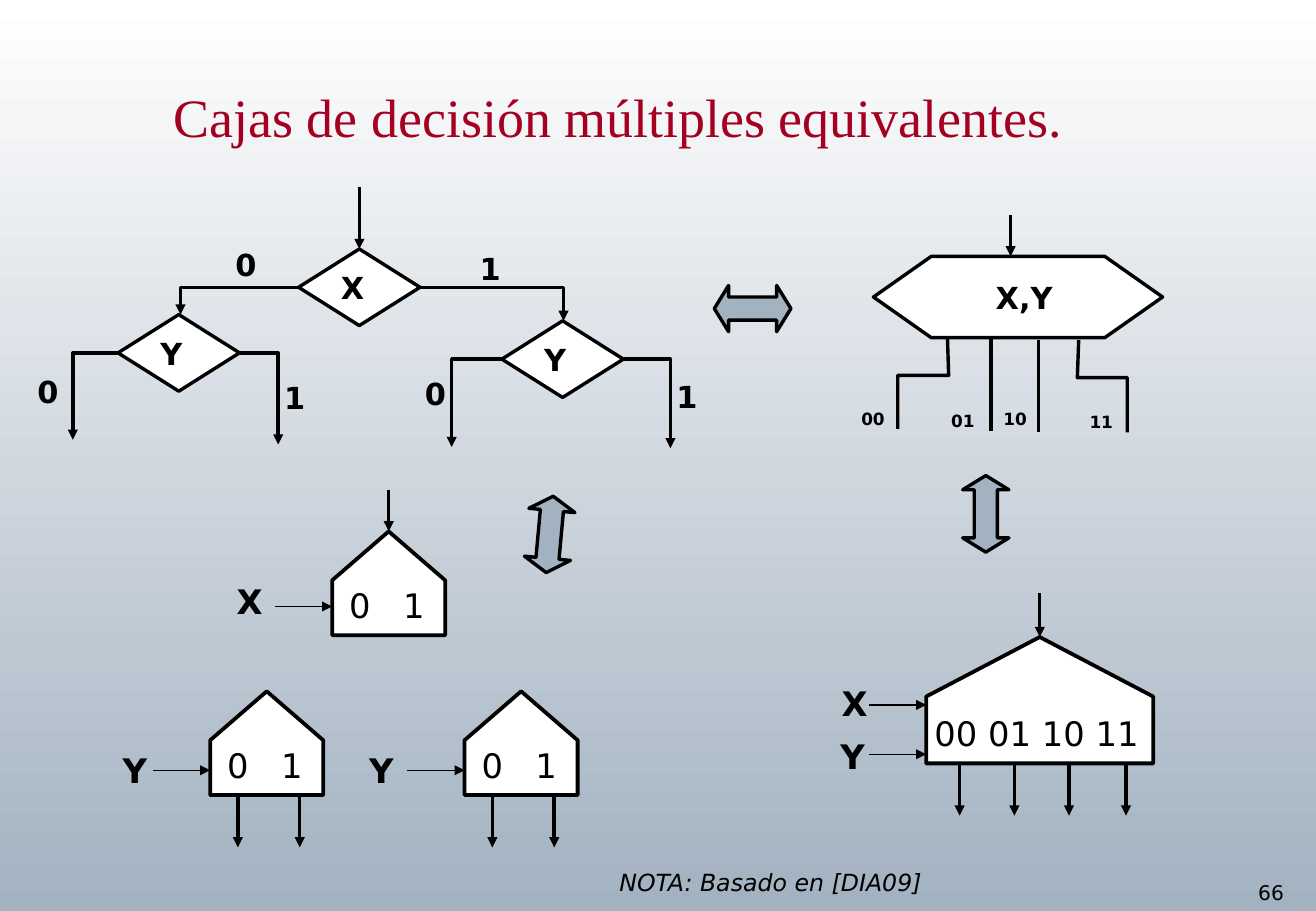
from lxml import etree
from pptx import Presentation
from pptx.dml.color import RGBColor
from pptx.enum.shapes import MSO_CONNECTOR, MSO_SHAPE
from pptx.enum.text import MSO_ANCHOR, PP_ALIGN
from pptx.oxml.ns import qn
from pptx.util import Pt

STRAIGHT, ELBOW = MSO_CONNECTOR.STRAIGHT, MSO_CONNECTOR.ELBOW
DIAMOND = MSO_SHAPE.FLOWCHART_DECISION
HEXAGON = MSO_SHAPE.FLOWCHART_PREPARATION
HOUSE = MSO_SHAPE.PENTAGON
DOUBLE_ARROW = MSO_SHAPE.LEFT_RIGHT_ARROW
LEFT = PP_ALIGN.LEFT
TOP, MIDDLE = MSO_ANCHOR.TOP, MSO_ANCHOR.MIDDLE
SANS, SERIF = "DejaVu Sans", "Times New Roman"
COLORS = {"ink": "000000", "paper": "FFFFFF", "steel": "A3B2C1", "title": "A50021"}


def color(name):
    """Return the named color."""
    return RGBColor.from_string(COLORS[name])


def write(shape, text, size, bold=False, italic=False, font=SANS, ink="ink", tab=None):
    """Put one left-aligned paragraph in a shape."""
    paragraph = shape.text_frame.paragraphs[0]
    paragraph.text = text
    paragraph.alignment = LEFT
    if tab:
        tabs = etree.SubElement(paragraph._p.get_or_add_pPr(), qn("a:tabLst"))
        etree.SubElement(tabs, qn("a:tab"), pos=str(Pt(tab)), algn="l")
    paragraph.font.name = font
    paragraph.font.size = Pt(size)
    paragraph.font.bold = bold
    paragraph.font.italic = italic
    paragraph.font.color.rgb = color(ink)


def add_label(slide, box, text, size, wrap=False, margin=None, anchor=TOP, **style):
    """Add a text box at the given left, top, width and height."""
    shape = slide.shapes.add_textbox(*map(Pt, box))
    frame = shape.text_frame
    frame.word_wrap = wrap
    frame.vertical_anchor = anchor
    if margin is not None:
        frame.margin_left = frame.margin_right = Pt(margin)
        frame.margin_top = frame.margin_bottom = Pt(margin)
    write(shape, text, size, **style)
    return shape


def add_block(slide, kind, box, fill="paper", width=2):
    """Add an outlined preset shape."""
    shape = slide.shapes.add_shape(kind, *map(Pt, box))
    shape.shadow.inherit = False
    shape.fill.solid()
    shape.fill.fore_color.rgb = color(fill)
    shape.line.color.rgb = color("ink")
    shape.line.width = Pt(width)
    shape.text_frame.word_wrap = False
    shape.text_frame.vertical_anchor = MIDDLE
    return shape


def add_line(slide, start, end, width=2, kind=STRAIGHT, head=True):
    """Add a straight line or a one-bend elbow, usually with an arrowhead."""
    line = slide.shapes.add_connector(kind, *map(Pt, (*start, *end)))
    line.line.color.rgb = color("ink")
    line.line.width = Pt(width)
    properties = line._element.spPr
    if kind == ELBOW:
        properties.find(qn("a:prstGeom")).set("prst", "bentConnector2")
    if head:
        etree.SubElement(properties.find(qn("a:ln")), qn("a:tailEnd"), type="triangle")
    etree.SubElement(properties, qn("a:effectLst"))
    return line


def add_bent_exit(slide, points):
    """Draw an open stepped outline through the points."""
    corners = [(Pt(x), Pt(y)) for x, y in points]
    builder = slide.shapes.build_freeform(*corners[0], scale=1.0)
    builder.add_line_segments(corners[1:], close=False)
    shape = builder.convert_to_shape()
    shape.shadow.inherit = False
    shape.fill.background()
    shape.line.color.rgb = color("ink")
    shape.line.width = Pt(2)


def decision_tree(slide, left, top):
    """Draw the tree of two-way decisions on X and then Y."""
    width, height = 72, 45.4
    nodes = [
        ("X", 162, 36.6, (92, 75.5), (319, 79.2)),
        ("Y", 55, 75.5, (28.2, 149.7), (149.9, 152.5)),
        ("Y", 282.5, 79.2, (252.8, 154), (382.4, 154.7)),
    ]
    diamonds = []
    for name, x, y, zero_end, one_end in nodes:
        diamond = add_block(slide, DIAMOND, (left + x, top + y, width, height))
        write(diamond, name, 18, bold=True)
        diamonds.append(diamond)
        for start_x, (end_x, end_y) in ((x, zero_end), (x + width, one_end)):
            add_line(slide, (left + start_x, top + y + height / 2),
                     (left + end_x, top + end_y), kind=ELBOW)
    middle = left + 162 + width / 2
    entry = add_line(slide, (middle, top), (middle, top + 36.6))
    entry.end_connect(diamonds[0], 0)
    for text, x, y in (("0", 0, 106.4), ("0", 117.5, 31.6), ("0", 229.8, 107.9),
                       ("1", 378.8, 109.3), ("1", 262.2, 33.7), ("1", 146.3, 110)):
        add_label(slide, (left + x, top + y, 27.4, 28.8), text, 18, bold=True, anchor=MIDDLE)


def multiple_decision(slide, left, top):
    """Draw the four-way decision hexagon with its labelled exits."""
    hexagon = add_block(slide, HEXAGON, (left + 7.7, top + 25, 171.4, 48.2))
    hexagon.text_frame.margin_left = Pt(38.2)
    write(hexagon, "X,Y", 18, bold=True)
    add_line(slide, (left + 89, top + 0.4), (left + 89, top + 25))
    for points in ([(51.6, 73.2), (52.3, 95.5), (22.1, 95.5), (22.1, 127.2)],
                   [(129.4, 74.6), (128.6, 96.9), (158.2, 96.9), (158.2, 129.3)]):
        add_bent_exit(slide, [(left + x, top + y) for x, y in points])
    for x, start, end in ((77.5, 73.2, 128.6), (105.6, 74.6, 129.3)):
        add_line(slide, (left + x, top + start), (left + x, top + end), head=False)
    for text, x, y in (("00", 0.5, 115), ("01", 53.8, 116.4),
                       ("10", 84.7, 115), ("11", 135.8, 117)):
        add_label(slide, (left + x, top + y, 20.9, 12.2), text, 10, margin=0, bold=True)


def selector(slide, box, text, text_width, inputs, outputs=(), entry=0):
    """Draw a house-shaped selector with its inputs, entry and outputs."""
    left, top, width, height = box
    middle = left + width / 2
    turned = (middle - height / 2, top + (height - width) / 2, height, width)
    house = add_block(slide, HOUSE, turned, width=2.25)
    house.rotation = 270
    house.adjustments[0] = 0.471
    add_label(slide, (middle - text_width / 2, top + height - 33.5, text_width, 31.7),
              text, 20, tab=32 if "\t" in text else None)
    for name, label_x, label_y, arrow_y in inputs:
        add_label(slide, (left + label_x, top + label_y, 30, 31.7), name, 20, bold=True)
        add_line(slide, (left - 34, top + arrow_y), (left, top + arrow_y), width=0.75)
    if entry:
        add_line(slide, (middle, top - entry), (middle, top))
    for x in outputs:
        add_line(slide, (left + x, top + height + 1), (left + x, top + height + 31))


def equivalence(slide, left, top, rotation=0):
    """Draw a double arrow between equivalent diagrams."""
    arrow = add_block(slide, DOUBLE_ARROW, (left, top, 45.4, 27.4), fill="steel")
    arrow.adjustments[0] = 0.5
    arrow.adjustments[1] = 0.309
    arrow.rotation = rotation


def background(slide):
    """Fill the slide with a vertical gradient."""
    fill = slide.background.fill
    fill.gradient()
    fill.gradient_angle = 270
    for stop, position, name in zip(fill.gradient_stops, (0, 1), ("paper", "steel")):
        stop.position = position
        stop.color.rgb = color(name)


def main():
    """Build the slide and save it."""
    presentation = Presentation()
    presentation.slide_width, presentation.slide_height = Pt(780), Pt(540)
    slide = presentation.slides.add_slide(presentation.slide_layouts[6])
    background(slide)
    title = add_label(slide, (95.8, 41.8, 556, 50.4), "Cajas de decisión múltiples equivalentes.",
                      32, wrap=True, font=SERIF, ink="title")
    title.text_frame.margin_top = Pt(7.5)
    decision_tree(slide, 15, 111)
    multiple_decision(slide, 510, 127)
    selector(slide, (196.9, 315, 67, 61.5), "0\t1", 61.2, [("X", -63.7, 25.6, 44.5)], entry=24.5)
    for left, label_x in ((124.6, -59), (275.4, -63.7)):
        selector(slide, (left, 409.8, 67, 61.5), "0\t1", 61.2,
                 [("Y", label_x, 31, 46.8)], outputs=(16.4, 53.1))
    selector(slide, (549, 377.6, 134.6, 74.9), "00 01 10 11", 139,
             [("X", -57.2, 23.4, 40.3), ("Y", -58, 55, 69.5)],
             outputs=(19.8, 52.2, 84.6, 118.4), entry=26)
    equivalence(slide, 423.4, 169.2)
    equivalence(slide, 303.1, 303.1, 95.3)
    equivalence(slide, 561.6, 290.9, 90)
    add_label(slide, (360, 511.2, 207.4, 23.8), "NOTA: Basado en [DIA09]", 14,
              wrap=True, italic=True)
    add_label(slide, (738.7, 518.4, 41, 21.6), "66", 12)
    presentation.save("out.pptx")


if __name__ == "__main__":
    main()
